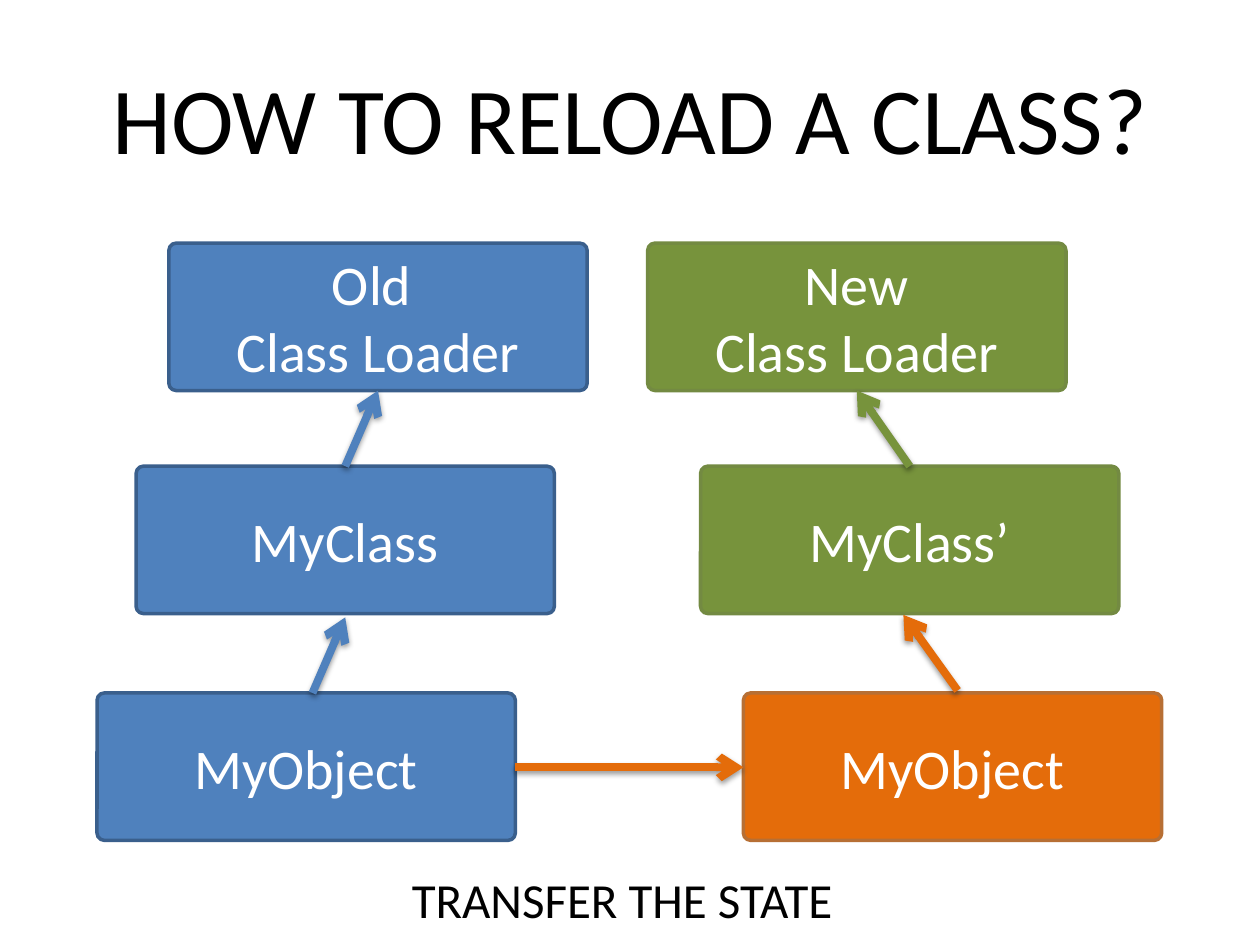
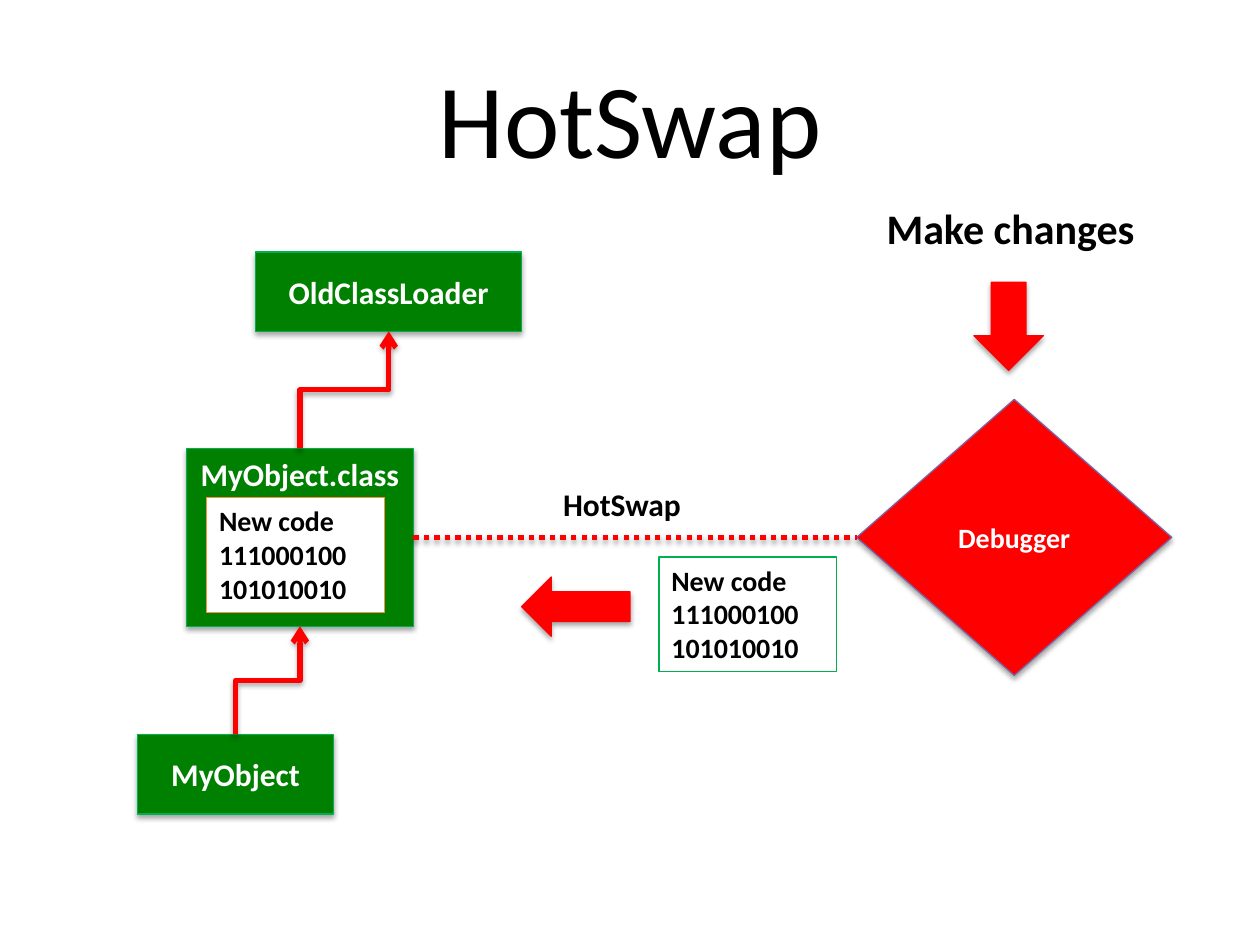
from dataclasses import dataclass
from lxml.etree import SubElement
from pptx import Presentation
from pptx.dml.color import RGBColor
from pptx.enum.dml import MSO_LINE
from pptx.enum.shapes import MSO_CONNECTOR, MSO_SHAPE
from pptx.enum.text import MSO_ANCHOR, MSO_AUTO_SIZE, PP_ALIGN
from pptx.oxml.ns import qn
from pptx.util import Inches, Pt


@dataclass(frozen=True)
class Theme:
    font: str = "Calibri"
    black: str = "000000"
    white: str = "FFFFFF"
    blue: str = "4F81BD"
    navy: str = "3A5F8C"
    olive: str = "77933C"
    moss: str = "738A42"
    orange: str = "E46C0A"
    rust: str = "B76F34"
    green: str = "008000"
    mint: str = "00B050"
    red: str = "FF0000"
    violet: str = "7D60A0"
    peach: str = "F69240"
    box: int = 32
    foot: int = 28
    head: int = 24
    label: int = 18
    code: int = 16


T = Theme()
TITLE = (0.5, 0.3, 9, 1.25)
SOFT = (38, 3.1, 1.6)  # opacity %, blur pt, distance pt
DEEP = (35, 3.1, 1.8)

# Slide 1: rows of boxes, arrows between them
SIZE = (3.32, 1.17)
ROWS = (1.93, 3.7, 5.5)
BLUE, OLIVE, ORANGE = (T.blue, T.navy), (T.olive, T.moss), (T.orange, T.rust)
BOXES = [  # left, row, text lines, colours
    (1.34, 0, ["Old ", "Class Loader"], BLUE),
    (1.08, 1, ["MyClass"], BLUE),
    (0.77, 2, ["MyObject"], BLUE),
    (5.14, 0, ["New", "Class Loader"], OLIVE),
    (5.56, 1, ["MyClass’"], OLIVE),
    (5.9, 2, ["MyObject"], ORANGE),
]
ARROWS = [  # from, to, colour
    ((2.74, 3.7), (3, 3.1), T.blue),
    ((2.48, 5.5), (2.74, 4.9), T.blue),
    ((7.22, 3.7), (6.8, 3.1), T.olive),
    ((7.6, 5.48), (7.17, 4.88), T.orange),
    ((4.09, 6.09), (5.9, 6.09), T.orange),
]

# Slide 2: class chain, debugger, code notes
OBJECT = (1.09, 5.83, 1.56, 0.63)
CLASS = (1.48, 3.56, 1.8, 1.41)
LOADER = (2.03, 2, 2.11, 0.63)
CHAIN = [
    (OBJECT, "MyObject", MSO_ANCHOR.MIDDLE),
    (CLASS, "MyObject.class", MSO_ANCHOR.TOP),
    (LOADER, "OldClassLoader", MSO_ANCHOR.MIDDLE),
]
DEBUG = (6.8, 3.17, 2.5, 2.19)
NOTES = [
    ((5.23, 4.42, 1.41, 0.91), ["New code", "111000100", "101010010"], T.mint),
    ((1.64, 3.95, 1.41, 0.91), ["New code 111000100", "101010010"], T.peach),
]
BLOCKS = [
    (MSO_SHAPE.LEFT_ARROW, (4.14, 4.58, 0.86, 0.47)),
    (MSO_SHAPE.DOWN_ARROW, (7.73, 2.24, 0.55, 0.7)),
]


def rgb(code):
    return RGBColor.from_string(code)


def write(shape, lines, size, color, bold=False, align=PP_ALIGN.CENTER,
          anchor=MSO_ANCHOR.MIDDLE, wrap=True):
    frame = shape.text_frame
    frame.text = "\n".join(lines)
    frame.word_wrap = wrap
    frame.vertical_anchor = anchor
    for para in frame.paragraphs:
        para.alignment = align
        font = para.font
        font.name, font.size, font.bold = T.font, Pt(size), bold
        font.color.rgb = rgb(color)


def shade(item, cast):
    """Put a downward shadow on an item, or none; call after its line is set."""
    props = item._element.spPr
    effects = SubElement(props, qn("a:effectLst"))
    if cast:
        alpha, blur, dist = cast
        drop = SubElement(effects, qn("a:outerShdw"), blurRad=str(Pt(blur)),
                          dist=str(Pt(dist)), dir="5400000", rotWithShape="0")
        tint = SubElement(drop, qn("a:srgbClr"), val=T.black)
        SubElement(tint, qn("a:alpha"), val=str(alpha * 1000))


def draw(slide, kind, area, fill, edge, width=0.75, cast=None):
    shape = slide.shapes.add_shape(kind, *map(Inches, area))
    shape.fill.solid()
    shape.fill.fore_color.rgb = rgb(fill)
    shape.line.color.rgb = rgb(edge)
    shape.line.width = Pt(width)
    shade(shape, cast)
    return shape


def label(slide, area, text, size, bold=False, align=PP_ALIGN.LEFT):
    box = slide.shapes.add_textbox(*map(Inches, area))
    write(box, [text], size, T.black, bold, align, MSO_ANCHOR.TOP, False)
    box.text_frame.auto_size = MSO_AUTO_SIZE.SHAPE_TO_FIT_TEXT


def title(slide, text, size):
    box = slide.shapes.add_textbox(*map(Inches, TITLE))
    write(box, [text], size, T.black)


def link(slide, start, end, color, width, cast, kind=MSO_CONNECTOR.STRAIGHT,
         dash=None):
    line = slide.shapes.add_connector(kind, *map(Inches, (*start, *end)))
    line.line.color.rgb = rgb(color)
    line.line.width = Pt(width)
    if dash:
        line.line.dash_style = dash
    else:
        SubElement(line.line._get_or_add_ln(), qn("a:tailEnd"), type="arrow")
    shade(line, cast)
    return line


def climb(slide, low, high):
    """Elbow from the top of one box up to the bottom of another."""
    x1, y1 = low[0] + low[2] / 2, low[1]
    x2, y2 = high[0] + high[2] / 2, high[1] + high[3]
    midx, midy = (x1 + x2) / 2, (y1 + y2) / 2
    dx, dy = (y1 - y2) / 2, (x2 - x1) / 2  # halves before the quarter turn
    line = link(slide, (midx + dx, midy + dy), (midx - dx, midy - dy),
                T.red, 3, DEEP, MSO_CONNECTOR.ELBOW)
    line._element.spPr.find(qn("a:xfrm")).set("rot", "5400000")


def reload(slide):
    title(slide, "HOW TO RELOAD A CLASS?", 54)
    for left, row, lines, (fill, edge) in BOXES:
        box = draw(slide, MSO_SHAPE.ROUNDED_RECTANGLE,
                   (left, ROWS[row], *SIZE), fill, edge, 2)
        box.adjustments[0] = 0.05
        write(box, lines, T.box, T.white)
    for start, end, color in ARROWS:
        link(slide, start, end, color, 4.5, SOFT)
    label(slide, (3.17, 6.85, 3.64, 0.57), "TRANSFER THE STATE", T.foot)


def swap(slide):
    title(slide, "HotSwap", 60)
    # Class chain
    for area, text, anchor in CHAIN:
        box = draw(slide, MSO_SHAPE.FLOWCHART_PROCESS, area, T.green, T.mint,
                   cast=DEEP)
        write(box, [text], T.label, T.white, True, anchor=anchor)
    climb(slide, OBJECT, CLASS)
    climb(slide, CLASS, LOADER)
    # Debugger and its link
    gem = draw(slide, MSO_SHAPE.DIAMOND, DEBUG, T.red, T.violet, cast=DEEP)
    write(gem, ["Debugger"], T.code, T.white, True)
    level = CLASS[1] + CLASS[3] / 2
    link(slide, (CLASS[0] + CLASS[2], level), (DEBUG[0], level), T.red, 3,
         DEEP, dash=MSO_LINE.ROUND_DOT)
    # Code notes and block arrows
    for area, lines, edge in NOTES:
        note = draw(slide, MSO_SHAPE.RECTANGLE, area, T.white, edge)
        write(note, lines, T.code, T.black, True, PP_ALIGN.LEFT, MSO_ANCHOR.TOP)
    for kind, area in BLOCKS:
        draw(slide, kind, area, T.red, T.red, cast=DEEP)
    # Labels
    label(slide, (4.37, 3.8, 1.15, 0.4), "HotSwap", T.label, True)
    label(slide, (6.92, 1.56, 2.2, 0.5), "Make changes", T.head, True,
          PP_ALIGN.CENTER)


def main():
    deck = Presentation()
    deck.slide_width, deck.slide_height = Inches(10), Inches(7.5)
    for build in (reload, swap):
        build(deck.slides.add_slide(deck.slide_layouts[6]))
    deck.save("out.pptx")


if __name__ == "__main__":
    main()
